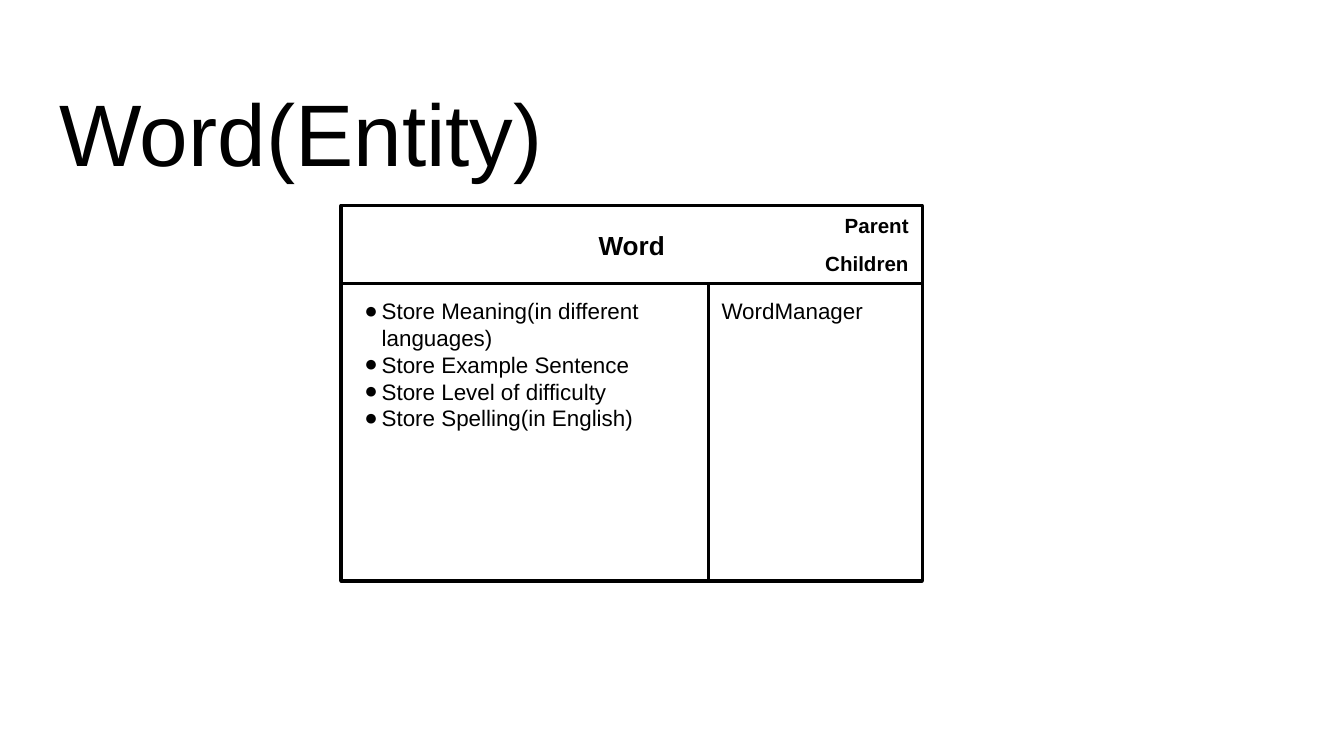
from dataclasses import dataclass

from lxml import etree
from pptx import Presentation
from pptx.dml.color import RGBColor
from pptx.enum import shapes, text
from pptx.oxml import ns
from pptx.util import Inches, Pt

BLACK = RGBColor(0, 0, 0)
WHITE = RGBColor(255, 255, 255)
FONT = "Arial"
INSET = 0.1

PAGE_WIDTH = 10
PAGE_HEIGHT = PAGE_WIDTH * 9 / 16
LEFT, TOP, WIDTH, HEIGHT = 2.54, 1.53, 4.32, 2.79
HEADER_HEIGHT = 0.58
DUTIES_WIDTH = 2.73
LABEL_HEIGHT = 0.3
BODY_TOP = TOP + HEADER_HEIGHT
BODY_HEIGHT = HEIGHT - HEADER_HEIGHT
SIDE_LEFT = LEFT + DUTIES_WIDTH
SIDE_WIDTH = WIDTH - DUTIES_WIDTH


@dataclass
class Area:
    left: float
    top: float
    width: float
    height: float
    lines: tuple[str, ...] = ()
    size: float = 12
    bold: bool = False
    align: text.PP_ALIGN = text.PP_ALIGN.LEFT
    anchor: text.MSO_ANCHOR = text.MSO_ANCHOR.TOP
    border: float = 0

    def place(self) -> tuple:
        return tuple(Inches(v) for v in (self.left, self.top, self.width, self.height))


def write(box, area: Area) -> None:
    frame = box.text_frame
    frame.word_wrap = True
    frame.auto_size = text.MSO_AUTO_SIZE.NONE
    frame.vertical_anchor = area.anchor
    frame.margin_left = frame.margin_right = Inches(INSET)
    frame.margin_top = frame.margin_bottom = Inches(INSET)
    for index, line in enumerate(area.lines):
        para = frame.add_paragraph() if index else frame.paragraphs[0]
        para.alignment = area.align
        para.space_before = para.space_after = Pt(0)
        para.line_spacing = 1.0
        span = para.add_run()
        span.text = line
        span.font.name = FONT
        span.font.size = Pt(area.size)
        span.font.bold = area.bold
        span.font.color.rgb = BLACK


def outline(box, area: Area) -> None:
    box.fill.solid()
    box.fill.fore_color.rgb = WHITE
    box.line.color.rgb = BLACK
    box.line.width = Pt(area.border)


def draw(card, area: Area) -> None:
    if area.border:
        box = card.shapes.add_shape(shapes.MSO_SHAPE.RECTANGLE, *area.place())
        box.shadow.inherit = False
        outline(box, area)
    else:
        box = card.shapes.add_textbox(*area.place())
    write(box, area)


def fill_placeholder(box, area: Area) -> None:
    box.left, box.top, box.width, box.height = area.place()
    if area.border:
        outline(box, area)
    write(box, area)


def add_bullets(box) -> None:
    for para in box.text_frame.paragraphs:
        props = para._p.get_or_add_pPr()
        props.set("marL", str(Inches(0.2)))
        props.set("indent", str(Inches(-0.13)))
        color = etree.SubElement(props, ns.qn("a:buClr"))
        etree.SubElement(color, ns.qn("a:srgbClr"), val=str(BLACK))
        etree.SubElement(props, ns.qn("a:buFont"), typeface=FONT)
        etree.SubElement(props, ns.qn("a:buChar"), char="●")


def label(line: str, top: float) -> Area:
    return Area(SIDE_LEFT, top, SIDE_WIDTH, LABEL_HEIGHT, (line,), 11, True,
                text.PP_ALIGN.RIGHT, text.MSO_ANCHOR.MIDDLE)


TITLE = Area(0.34, 0.49, 9.32, 0.63, ("Word(Entity)",), 46.8)
DUTIES = Area(LEFT, BODY_TOP, DUTIES_WIDTH, BODY_HEIGHT, (
    "Store Meaning(in different languages)",
    "Store Example Sentence",
    "Store Level of difficulty",
    "Store Spelling(in English)",
), border=1.5)
CARD = (
    Area(LEFT, TOP, WIDTH, HEIGHT, border=2.25),
    Area(LEFT, TOP, WIDTH, HEADER_HEIGHT, ("Word",), 14, True,
         text.PP_ALIGN.CENTER, text.MSO_ANCHOR.MIDDLE, 1.5),
    label("Parent", TOP),
    label("Children", BODY_TOP - LABEL_HEIGHT),
    Area(SIDE_LEFT, BODY_TOP, SIDE_WIDTH, BODY_HEIGHT, ("WordManager",), border=1.5),
)

deck = Presentation()
deck.slide_width, deck.slide_height = Inches(PAGE_WIDTH), Inches(PAGE_HEIGHT)
page = deck.slides.add_slide(deck.slide_layouts[1])
title, duties = page.placeholders
card = page.shapes.add_group_shape()
for area in CARD:
    draw(card, area)
fill_placeholder(duties, DUTIES)
add_bullets(duties)
fill_placeholder(title, TITLE)
for box in (duties, title):
    card.element.getparent().append(box.element)
deck.save("out.pptx")
